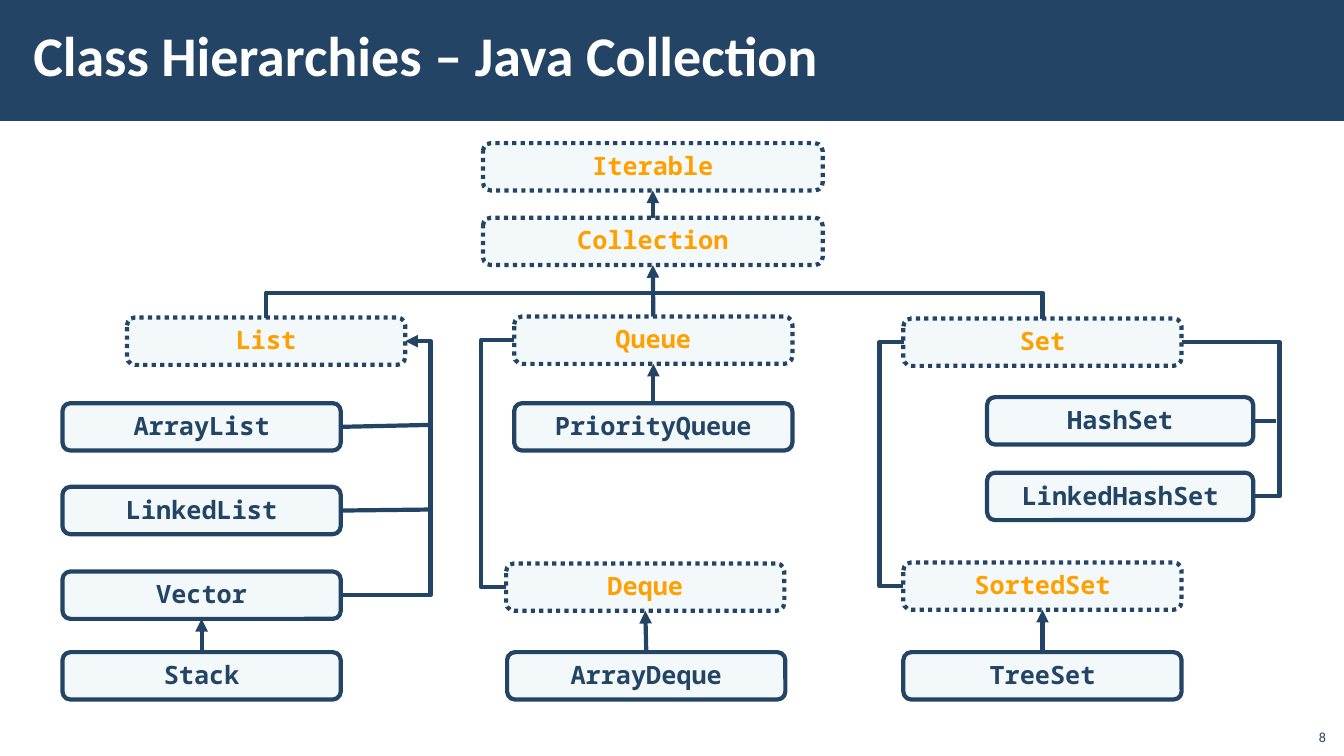
from dataclasses import dataclass

from pptx import Presentation
from pptx.dml.color import RGBColor as RGB
from pptx.enum.dml import MSO_LINE_DASH_STYLE as DASH
from pptx.enum.shapes import MSO_CONNECTOR as CONN, MSO_SHAPE as SHAPE
from pptx.enum.text import MSO_ANCHOR as ANCHOR, PP_ALIGN as ALIGN
from pptx.oxml.ns import qn
from pptx.oxml.xmlchemy import OxmlElement
from pptx.util import Pt


@dataclass(frozen=True)
class Theme:
    navy: RGB = RGB(0x23, 0x44, 0x65)
    orange: RGB = RGB(0xFF, 0xA0, 0x00)
    pale: RGB = RGB(0xB5, 0xDB, 0xE5)
    white: RGB = RGB(0xFF, 0xFF, 0xFF)
    pale_alpha: int = 15
    sans: str = "Calibri"
    mono: str = "Noto Sans Mono"
    title: int = 40
    node: int = 18
    number: int = 10
    stroke: int = 3


T = Theme()
SCALE = 9144
WIDTH, HEIGHT = 1333, 750
NODE_H = 47

NODES = {
    "Iterable": (479, 22, 337, True),
    "Collection": (479, 96, 337, True),
    "List": (126, 195, 276, True),
    "Queue": (510, 194, 276, True),
    "Set": (896, 196, 276, True),
    "ArrayList": (62, 280, 276, False),
    "LinkedList": (62, 363, 276, False),
    "Vector": (62, 447, 276, False),
    "Stack": (62, 527, 276, False),
    "PriorityQueue": (510, 280, 276, False),
    "Deque": (502, 439, 276, True),
    "ArrayDeque": (503, 527, 276, False),
    "HashSet": (979, 274, 264, False),
    "LinkedHashSet": (979, 349, 264, False),
    "SortedSet": (896, 438, 276, True),
    "TreeSet": (896, 527, 276, False),
}
UPWARD = [
    ("Collection", "Iterable"),
    ("Queue", "Collection"),
    ("PriorityQueue", "Queue"),
    ("Stack", "Vector"),
    ("ArrayDeque", "Deque"),
    ("TreeSet", "SortedSet"),
]
BRACKETS = [
    ("Vector", "List", "right", 427, True),
    ("Queue", "Deque", "left", 477, False),
    ("Set", "LinkedHashSet", "right", 1269, False),
    ("Set", "SortedSet", "left", 872, False),
]
STUBS = [("ArrayList", 428, -2), ("LinkedList", 428, -1), ("HashSet", 1266, 0)]
BAR_Y = 170


def px(*values):
    return [round(v * SCALE) for v in values]


def write(tf, text, font, size, color, bold=False, align=ALIGN.LEFT):
    tf.text = text
    p = tf.paragraphs[0]
    p.alignment = align
    f = p.runs[0].font
    f.name, f.size, f.bold = font, Pt(size), bold
    f.color.rgb = color
    return p


def add_header(s, box):
    x, y, w, h = box
    title = s.shapes.title
    band = s.shapes.add_shape(SHAPE.RECTANGLE, *px(x, y, w, h))
    band.shadow.inherit = False
    band.fill.solid()
    band.fill.fore_color.rgb = T.navy
    band.line.fill.background()
    title._element.addprevious(band._element)
    title.left, title.top, title.width, title.height = px(x + 21, y + 11, 1063, 97)
    tf = title.text_frame
    tf.vertical_anchor = ANCHOR.MIDDLE
    tf.margin_left, tf.margin_right, tf.margin_top, tf.margin_bottom = px(12, 12, 4, 4)
    p = write(tf, "Class Hierarchies – Java Collection", T.sans, T.title, T.white, True)
    p.line_spacing = Pt(40)


def add_node(s, name, x, y, w, is_interface):
    sp = s.shapes.add_shape(SHAPE.ROUNDED_RECTANGLE, *px(x, y, w, NODE_H))
    sp.shadow.inherit = False
    sp.fill.solid()
    sp.fill.fore_color.rgb = T.pale
    alpha = OxmlElement("a:alpha")
    alpha.set("val", str(T.pale_alpha * 1000))
    sp._element.spPr.find(qn("a:solidFill"))[0].append(alpha)
    sp.line.color.rgb = T.navy
    sp.line.width = Pt(T.stroke)
    if is_interface:
        sp.line.dash_style = DASH.ROUND_DOT
    tf = sp.text_frame
    tf.word_wrap = False
    tf.vertical_anchor = ANCHOR.MIDDLE
    color = T.orange if is_interface else T.navy
    p = write(tf, name, T.mono, T.node, color, True, ALIGN.CENTER)
    p.line_spacing = 0.95


def add_link(s, start, end, arrow=False, bend=None, turn=0):
    kind = CONN.STRAIGHT if bend is None else CONN.ELBOW
    c = s.shapes.add_connector(kind, *px(*start, *end))
    c.line.color.rgb = T.navy
    c.line.width = Pt(T.stroke)
    sp_pr = c._element.spPr
    if arrow:
        tail = OxmlElement("a:tailEnd")
        tail.set("type", "triangle")
        c.line._get_or_add_ln().append(tail)
    if bend is not None:
        geom = sp_pr.find(qn("a:prstGeom"))
        gd = OxmlElement("a:gd")
        gd.set("name", "adj1")
        gd.set("fmla", f"val {round(bend * 100000)}")
        geom.get_or_add_avLst().append(gd)
    if turn:
        sp_pr.find(qn("a:xfrm")).set("rot", str(turn * 60000))
    sp_pr.append(OxmlElement("a:effectLst"))


def add_hierarchy(s, box):
    left, top, _, _ = box
    nodes = {n: (left + x, top + y, w, i) for n, (x, y, w, i) in NODES.items()}

    def anchor(name, side):
        x, y, w, _ = nodes[name]
        return {
            "top": (x + w / 2, y),
            "bottom": (x + w / 2, y + NODE_H),
            "left": (x, y + NODE_H / 2),
            "right": (x + w, y + NODE_H / 2),
        }[side]

    for name, place in nodes.items():
        add_node(s, name, *place)
    for child, parent in UPWARD:
        add_link(s, anchor(child, "top"), anchor(parent, "bottom"), True)
    for first, last, side, rail, arrow in BRACKETS:
        start, end = anchor(first, side), anchor(last, side)
        if start[0] == end[0]:
            start = (start[0] + 1, start[1])
        bend = (left + rail - start[0]) / (end[0] - start[0])
        add_link(s, start, end, arrow, bend)
    for name, rail, rise in STUBS:
        x, y = anchor(name, "right")
        add_link(s, (x, y), (left + rail, y + rise))

    (x1, y1), (x2, y2) = anchor("List", "top"), anchor("Set", "top")
    cx, cy = (x1 + x2) / 2, (y1 + y2) / 2
    dx, dy = (y2 - y1) / 2, (x2 - x1) / 2
    bend = (top + BAR_Y - y1) / (y2 - y1)
    add_link(s, (cx + dx, cy - dy), (cx - dx, cy + dy), bend=bend, turn=270)


def add_page_number(s, box):
    tb = s.shapes.add_textbox(*px(*box))
    tf = tb.text_frame
    tf.word_wrap = True
    tf.vertical_anchor = ANCHOR.BOTTOM
    write(tf, "8", T.sans, T.number, T.navy, align=ALIGN.RIGHT)


def main():
    prs = Presentation()
    prs.slide_width, prs.slide_height = px(WIDTH, HEIGHT)
    s = prs.slides.add_slide(prs.slide_layouts[5])
    add_header(s, (0, 0, WIDTH, 120))
    add_hierarchy(s, (0, 120, WIDTH, 630))
    add_page_number(s, (1285, 712, 40, 32))
    prs.save("out.pptx")


if __name__ == "__main__":
    main()
